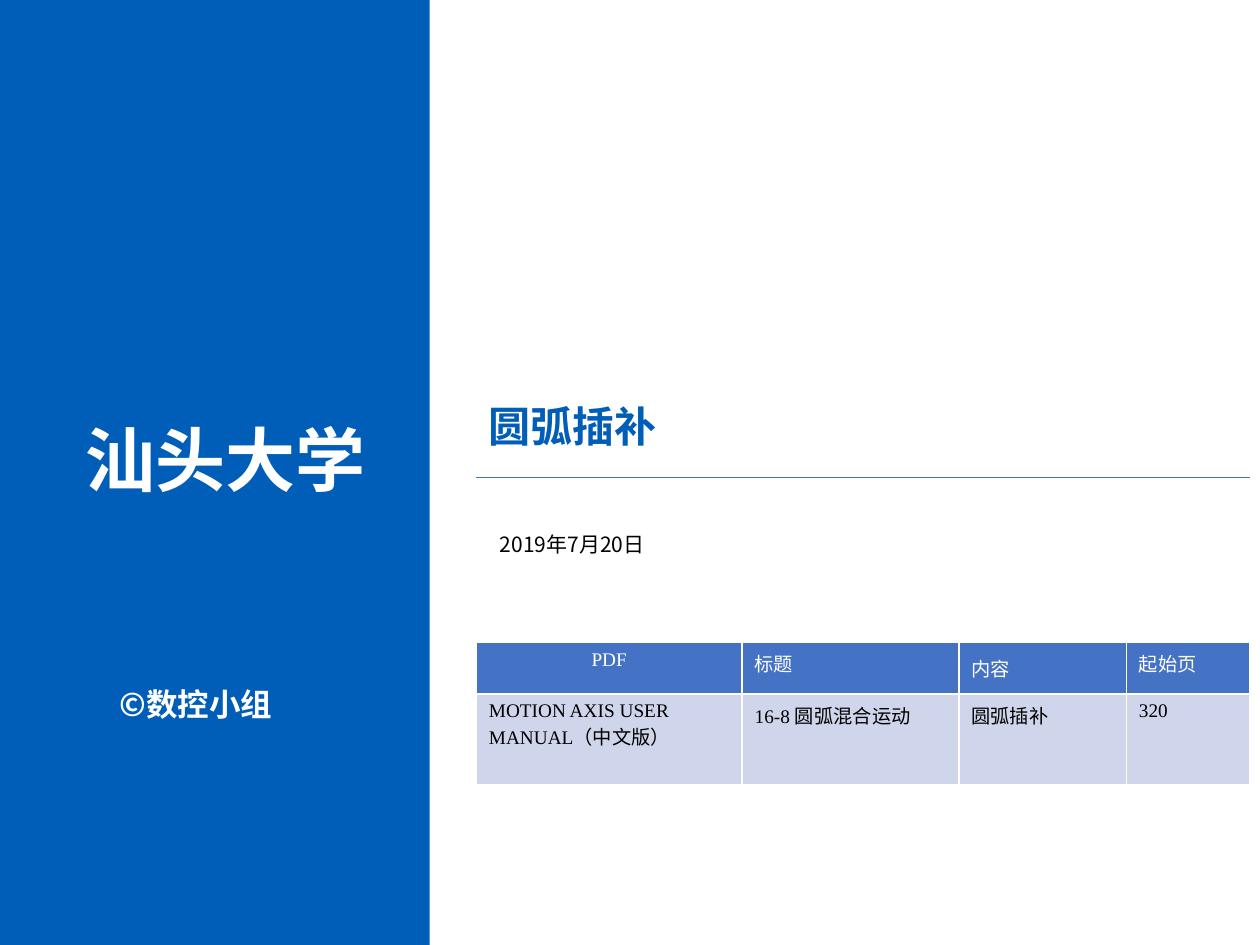
from lxml import etree
from pptx import Presentation
from pptx.dml.color import RGBColor
from pptx.enum.shapes import MSO_CONNECTOR, MSO_SHAPE
from pptx.enum.text import MSO_ANCHOR, MSO_AUTO_SIZE, PP_ALIGN
from pptx.oxml.ns import qn
from pptx.util import Inches, Pt

RECT = MSO_SHAPE.RECTANGLE
LINE = MSO_CONNECTOR.STRAIGHT
GROW = MSO_AUTO_SIZE.SHAPE_TO_FIT_TEXT
MID = MSO_ANCHOR.MIDDLE
MID_ROW = PP_ALIGN.CENTER

NAVY = RGBColor(0x00, 0x5E, 0xB8)
BLUE = RGBColor(0x44, 0x72, 0xC4)
PALE = RGBColor(0xCF, 0xD5, 0xEA)
WHITE = RGBColor(0xFF, 0xFF, 0xFF)
BLACK = RGBColor(0x00, 0x00, 0x00)
SANS = "Noto Sans CJK SC"
SERIF = "Times New Roman"


def write(frame, text, color, form):
    run = frame.paragraphs[0].add_run()
    run.text = text
    for key, value in form.items():
        setattr(run.font, key, value)
    run.font.color.rgb = color
    east = etree.Element(qn("a:ea"), typeface=SANS)
    run.font._element.find(qn("a:latin")).addnext(east)


def edge(cell):
    props = cell._tc.get_or_add_tcPr()
    for spot, side in enumerate(("lnL", "lnR", "lnT", "lnB")):
        line = etree.Element(qn("a:" + side), w=str(Pt(1)))
        fill = etree.SubElement(line, qn("a:solidFill"))
        etree.SubElement(fill, qn("a:srgbClr"), val=str(WHITE))
        props.insert(spot, line)


deck = Presentation()
deck.slide_width, deck.slide_height = Inches(10), Inches(7.5)
slide = deck.slides.add_slide(deck.slide_layouts[6])
shapes = slide.shapes

rule = shapes.add_connector(LINE, Inches(3.78), Inches(3.79), Inches(9.92), Inches(3.79))
rule.line.color.rgb = BLUE
rule.line.width = Pt(0.5)
etree.SubElement(rule._element.spPr, qn("a:effectLst"))

panel = shapes.add_shape(RECT, 0, 0, Inches(3.41), Inches(7.5))
panel.shadow.inherit = False
panel.fill.solid()
panel.fill.fore_color.rgb = NAVY
panel.line.fill.background()

texts = [
    ("圆弧插补", (3.78, 3.13, 6.14, 0.5), 24, True, NAVY),
    ("2019年7月20日", (3.87, 4.17, 3.06, 0.3), 12, False, BLACK),
    ("©数控小组", (0.85, 5.39, 2.42, 0.54), 18, True, WHITE),
    ("汕头大学", (0.58, 3.26, 3.2, 0.77), 40, True, WHITE),
]
for text, place, size, bold, color in texts:
    frame = shapes.add_textbox(*map(Inches, place)).text_frame
    frame.word_wrap = True
    frame.auto_size = GROW
    write(frame, text, color, {"name": SANS, "size": Pt(size), "bold": bold})

rows = [
    ("PDF", "标题", "内容", "起始页"),
    ("MOTION AXIS USER MANUAL（中文版）", "16-8 圆弧混合运动", "圆弧插补", "320"),
]
looks = [(0.41, BLUE, WHITE), (0.72, PALE, BLACK)]
grid = shapes.add_table(2, 4, Inches(3.78), Inches(5.1), Inches(6.14), Inches(1.13)).table
for col, width in zip(grid.columns, (2.11, 1.72, 1.33, 0.98)):
    col.width = Inches(width)
for row, words, (height, fill, color) in zip(grid.rows, rows, looks):
    row.height = Inches(height)
    for cell, text in zip(row.cells, words):
        cell.fill.solid()
        cell.fill.fore_color.rgb = fill
        edge(cell)
        write(cell.text_frame, text, color, {"name": SERIF, "size": Pt(11), "bold": False})
grid.cell(0, 0).text_frame.paragraphs[0].alignment = MID_ROW
grid.cell(0, 2).vertical_anchor = MID

deck.save("out.pptx")
